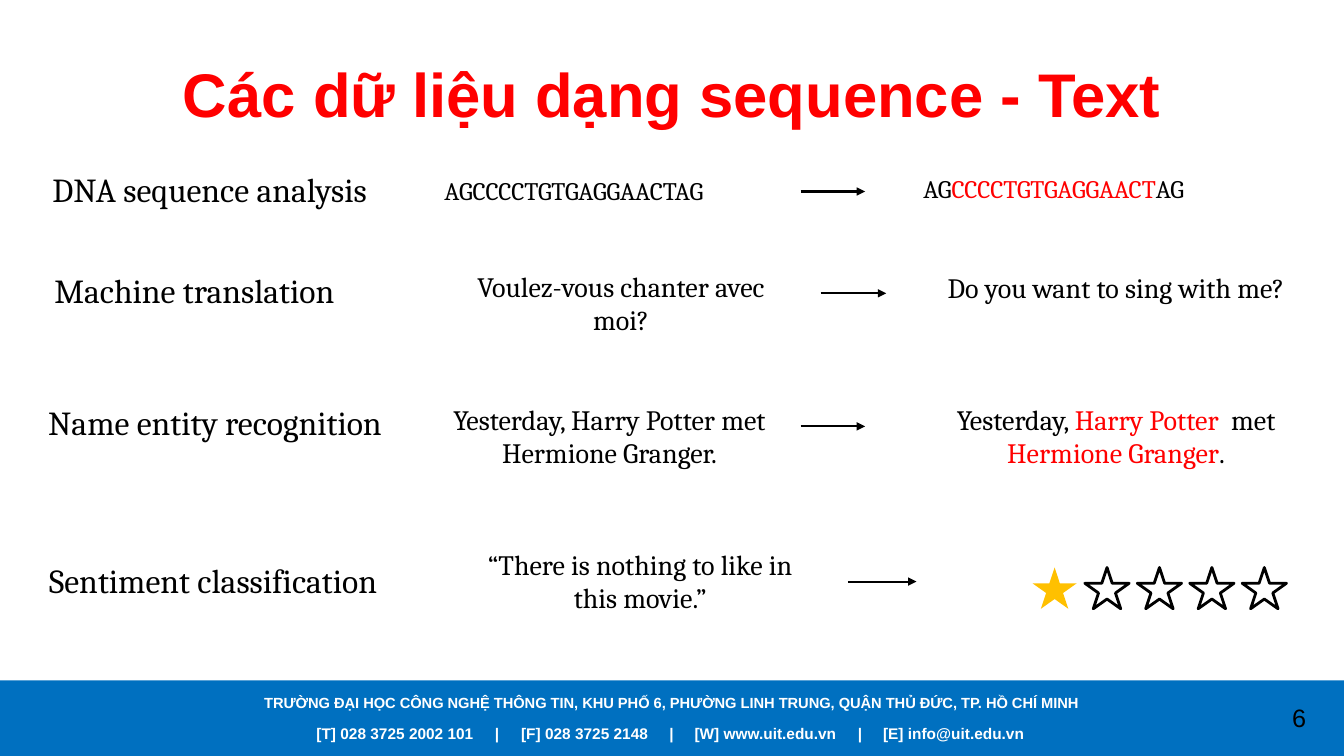
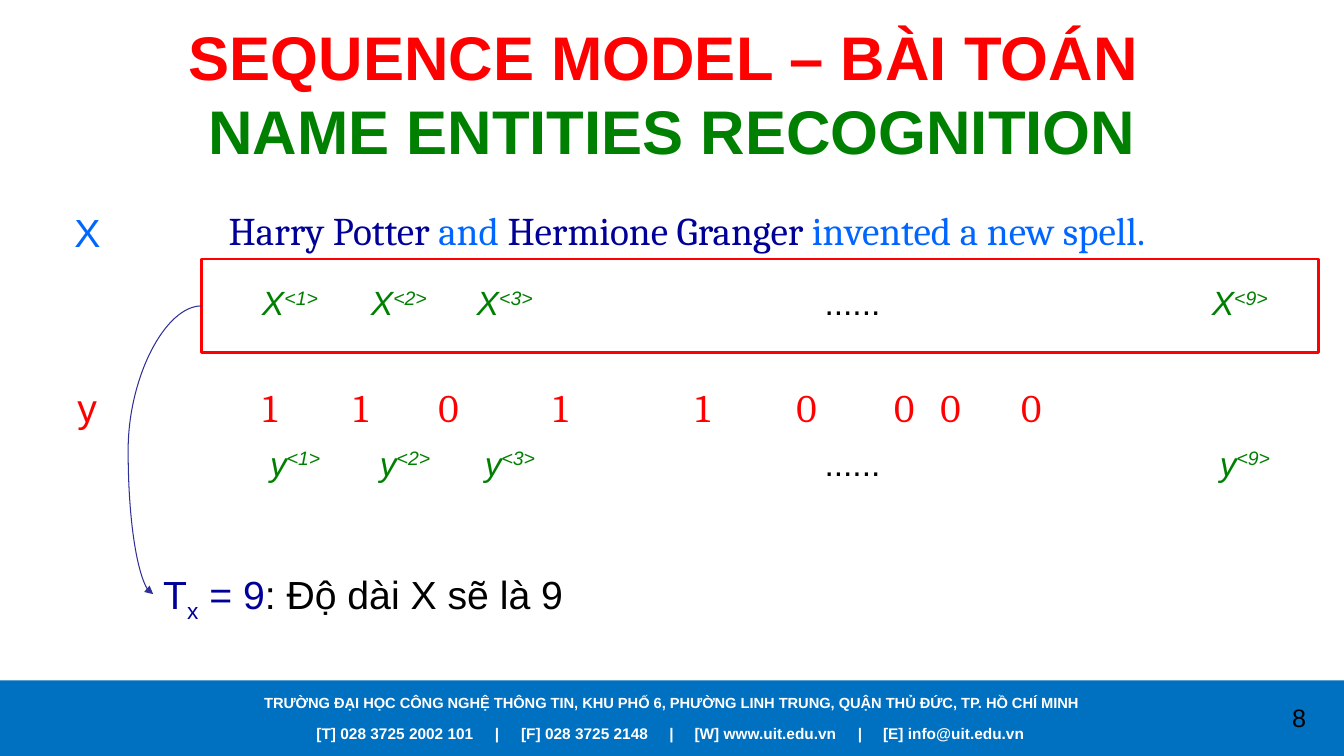
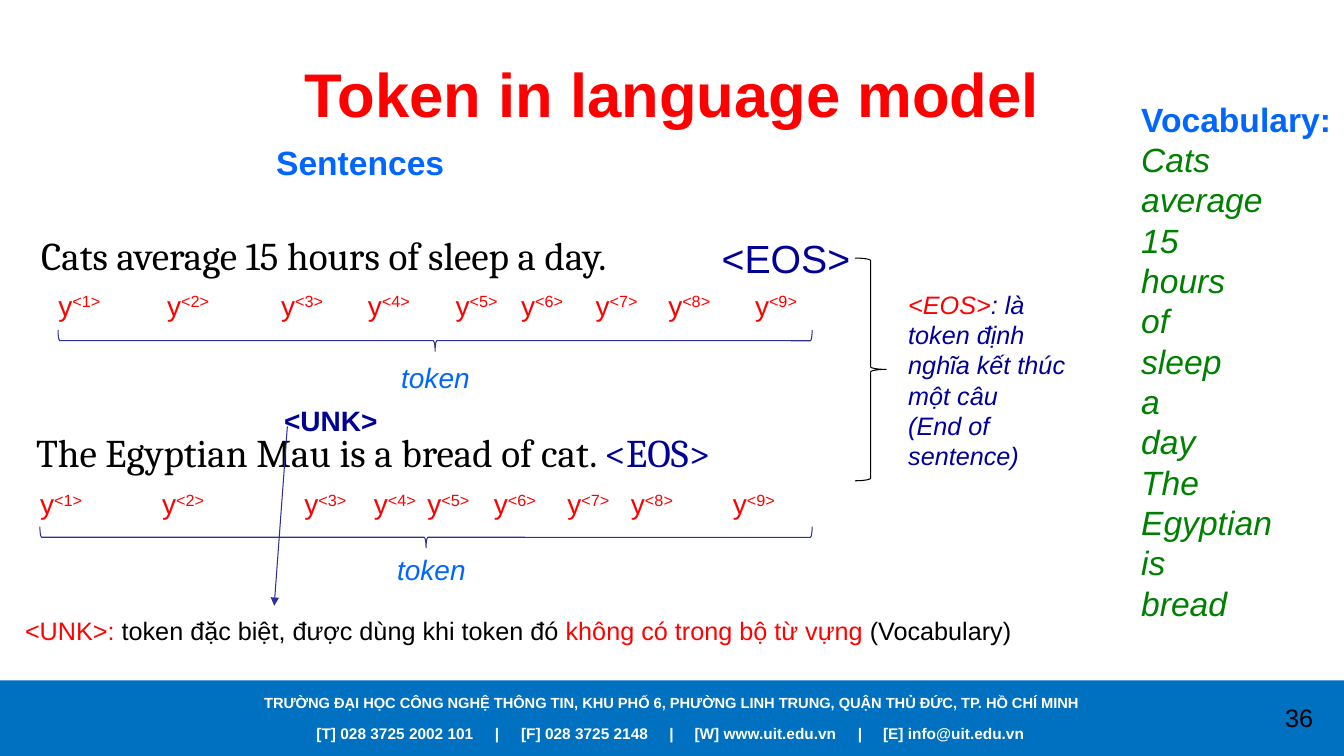
from dataclasses import dataclass

from lxml.etree import SubElement
from pptx import Presentation
from pptx.dml.color import RGBColor
from pptx.enum.shapes import MSO_CONNECTOR as CONN, MSO_SHAPE as SHAPE
from pptx.enum.text import MSO_ANCHOR, MSO_AUTO_SIZE, PP_ALIGN
from pptx.oxml.ns import qn
from pptx.util import Inches, Pt


@dataclass(frozen=True)
class Theme:
    sans: str = "Arial"
    serif: str = "Cambria"
    black: str = "000000"
    white: str = "FFFFFF"
    red: str = "FF0000"
    green: str = "008000"
    navy: str = "000099"
    azure: str = "0066FF"
    line: str = "2F2F98"
    band: str = "0070C0"
    gold: str = "FFC000"
    title: float = 44
    sentence: float = 28
    label: float = 24
    body: float = 20
    small: float = 18
    contact: float = 11
    address: float = 10.5


T = Theme()

ADDRESS = "TRƯỜNG ĐẠI HỌC CÔNG NGHỆ THÔNG TIN, KHU PHỐ 6, PHƯỜNG LINH TRUNG, QUẬN THỦ ĐỨC, TP. HỒ CHÍ MINH"
CONTACTS = ["[T] 028 3725 2002 101", "[F] 028 3725 2148", "[W] www.uit.edu.vn", "[E] info@uit.edu.vn"]
CONTACT_TABS = [1.48, 3.25, 3.51, 4.98, 5.23, 6.85, 7.1]

TASKS = [
    dict(label=("DNA sequence analysis", 0.42, 1.63, 3.62),
         source=("AGCCCCTGTGAGGAACTAG", 4.31, 1.69, 3.48, 0.4),
         arrow=(7.94, 8.58, 1.9),
         result=([("AG", T.black), ("CCCCTGTGAGGAACT", T.red), ("AG", T.black)], 9.06, 1.67, 3.48, 0.4),
         style=dict(size=T.small)),
    dict(label=("Machine translation", 0.44, 2.63, 3.23),
         source=("Voulez-vous chanter avec moi?", 4.33, 2.62, 3.66, 0.77),
         arrow=(8.14, 8.79, 2.91),
         result=([("Do you want to sing with me?", T.black)], 9.24, 2.63, 3.66, 0.77)),
    dict(label=("Name entity recognition", 0.38, 3.94, 3.75),
         source=("Yesterday, Harry Potter met Hermione Granger.", 4.25, 3.94, 3.59, 0.77),
         arrow=(7.94, 8.58, 4.23),
         result=([("Yesterday, ", T.black), ("Harry Potter  ", T.red), ("met ", T.black),
                  ("Hermione Granger", T.red), (".", T.black)], 9.3, 3.94, 3.54, 0.77)),
    dict(label=("Sentiment classification", 0.39, 5.51, 3.94),
         source=("“There is nothing to like in this movie.”", 4.59, 5.38, 3.52, 0.77),
         arrow=(8.41, 9.09, 5.77),
         stars=(1, 5)),
]

NER_SENTENCE = [("Harry Potter ", T.navy), ("and ", T.azure), ("Hermione Granger", T.navy),
                (" invented a new spell.", T.azure)]
NER_TAGS = "110110000"
NER_TABS = [0.41, 1.31, 2.18, 3.29, 4.7, 5.73, 6.7, 7.16, 7.96]
NER_ROWS = [("X", 2.75, 0.81, [2.5, 3.58, 4.63, 11.92]),
            ("y", 4.34, 0.76, [2.58, 3.67, 4.71, 12])]

VOCABULARY = ["Cats", "average", "15", "hours", "of", "sleep", "a", "day", "The", "Egyptian", "is", "bread"]
SENTENCES = [
    dict(text=[("Cats average 15 hours of sleep a day.", T.black)], at=(0.31, 2.25, 6.93),
         token_y=2.81, token_x=[0.48, 1.56, 2.69, 3.55, 4.42, 5.07, 5.81, 6.53, 7.39],
         brace=(4.21, -0.36, 0.21, 7.48), caption=(3.88, 3.53)),
    dict(text=[("The Egyptian Mau is a bread of cat. ", T.black), ("<EOS>", T.navy)], at=(0.26, 4.2, 8.12),
         token_y=4.78, token_x=[0.3, 1.51, 2.92, 3.61, 4.14, 4.8, 5.53, 6.16, 7.17],
         brace=(4.12, 1.5, 0.21, 7.66), caption=(3.84, 5.43)),
]
EOS_NOTE = [[("<EOS>", T.red), (": là token định nghĩa kết thúc một câu", T.navy)],
            [("(End of sentence)", T.navy)]]
UNK_NOTE = [("<UNK>:", T.red), (" token đặc biệt, được dùng khi token đó ", T.black),
            ("không có trong bộ từ vựng ", T.red), ("(Vocabulary)", T.black)]


def rgb(color):
    return RGBColor.from_string(color)


def write(tf, paras, size, font=T.sans, bold=False, italic=False, align=PP_ALIGN.LEFT):
    for i, runs in enumerate(paras):
        p = tf.paragraphs[0] if i == 0 else tf.add_paragraph()
        p.alignment = align
        for text, color, *baseline in runs:
            r = p.add_run()
            r.text = text
            r.font.name, r.font.size = font, Pt(size)
            r.font.bold, r.font.italic = bold, italic
            r.font.color.rgb = rgb(color)
            if baseline:
                r._r.get_or_add_rPr().set("baseline", str(baseline[0] * 1000))


def add_text(shapes, x, y, w, h, paras, size, wrap=False, **style):
    sp = shapes.add_textbox(*map(Inches, (x, y, w, h)))
    tf = sp.text_frame
    write(tf, paras, size, **style)
    tf.word_wrap = wrap
    tf.auto_size = MSO_AUTO_SIZE.SHAPE_TO_FIT_TEXT
    return sp


def set_tabs(sp, stops, kind="l"):
    tabs = SubElement(sp.text_frame.paragraphs[0]._p.get_or_add_pPr(), qn("a:tabLst"))
    for stop in stops:
        SubElement(tabs, qn("a:tab"), pos=str(Inches(stop)), algn=kind)


def add_shape(shapes, kind, x, y, w, h, fill=None, line=None, width=1.0):
    sp = shapes.add_shape(kind, *map(Inches, (x, y, w, h)))
    sp.shadow.inherit = False
    if fill:
        sp.fill.solid()
        sp.fill.fore_color.rgb = rgb(fill)
    else:
        sp.fill.background()
    if line:
        sp.line.color.rgb = rgb(line)
        sp.line.width = Pt(width)
    else:
        sp.line.fill.background()
    return sp


def add_arrow(shapes, x1, y1, x2, y2, color, width, kind=CONN.STRAIGHT):
    cx = shapes.add_connector(kind, *map(Inches, (x1, y1, x2, y2)))
    cx.line.color.rgb = rgb(color)
    cx.line.width = Pt(width)
    SubElement(cx.line._get_or_add_ln(), qn("a:tailEnd"), type="triangle")
    SubElement(cx._element.spPr, qn("a:effectLst"))
    return cx


def new_slide(prs, number, title):
    s = prs.slides.add_slide(prs.slide_layouts[5])
    add_shape(s.shapes, SHAPE.RECTANGLE, 0, 6.75, 13.33, 0.75, fill=T.band)
    add_text(s.shapes, 0, 6.83, 13.33, 0.28, [[(ADDRESS, T.white)]], T.address, wrap=True,
             bold=True, align=PP_ALIGN.CENTER)
    contacts = add_text(s.shapes, 1.56, 7.13, 10.22, 0.29, [[("\t" + "\t|\t".join(CONTACTS), T.white)]],
                        T.contact, wrap=True, bold=True)
    set_tabs(contacts, CONTACT_TABS)
    add_text(s.shapes, 12.44, 6.92, 0.89, 0.4, [[(str(number), T.black)]], T.small, wrap=True,
             align=PP_ALIGN.CENTER)
    sp = s.shapes.title
    sp.left, sp.top, sp.width, sp.height = map(Inches, (0.67, 0.3, 12, 1.25))
    tf = sp.text_frame
    tf.auto_size = MSO_AUTO_SIZE.NONE
    tf.vertical_anchor = MSO_ANCHOR.MIDDLE
    write(tf, title, T.title, bold=True, align=PP_ALIGN.CENTER)
    return s.shapes


def build_tasks(prs):
    shapes = new_slide(prs, 6, [[("Các dữ liệu dạng sequence - Text", T.red)]])
    for task in TASKS:
        group = shapes.add_group_shape().shapes
        style = task.get("style", dict(size=T.body, wrap=True, align=PP_ALIGN.CENTER))
        label, *place = task["label"]
        add_text(group, *place, 0.5, [[(label, T.black)]], T.label, font=T.serif)
        source, *place = task["source"]
        add_text(group, *place, [[(source, T.black)]], font=T.serif, **style)
        x1, x2, y = task["arrow"]
        add_arrow(group, x1, y, x2, y, T.black, 1.5)
        if "result" in task:
            result, *place = task["result"]
            add_text(group, *place, [result], font=T.serif, **style)
        else:
            rating, total = task["stars"]
            for i in range(total):
                look = dict(fill=T.gold) if i < rating else dict(line=T.black, width=2)
                add_shape(group, SHAPE.STAR_5_POINT, 10.24 + 0.52 * i, 5.63, 0.44, 0.41, **look)


def build_entities(prs):
    shapes = new_slide(prs, 8, [[("SEQUENCE MODEL – BÀI TOÁN ", T.red)],
                                [("NAME ENTITIES RECOGNITION", T.green)]])
    add_text(shapes, 2.17, 2, 10.75, 0.57, [NER_SENTENCE], T.sentence, wrap=True, font=T.serif)
    tags = add_text(shapes, 2.17, 3.75, 10.75, 0.57, [[("\t" + "\t".join(NER_TAGS), T.red)]],
                    T.sentence, wrap=True, font=T.serif)
    set_tabs(tags, NER_TABS, "ctr")
    add_text(shapes, 0.64, 2.02, 0.46, 0.57, [[("X", T.azure)]], T.sentence)
    add_text(shapes, 0.67, 3.75, 0.4, 0.57, [[("y", T.red)]], T.sentence)
    for name, y, w, lefts in NER_ROWS:
        for x, index in zip(lefts, (1, 2, 3, 9)):
            add_text(shapes, x, y, w, 0.5, [[(name, T.green), (f"<{index}>", T.green, 30)]],
                     T.label, italic=True)
        add_text(shapes, 8.08, y, 0.76, 0.5, [[("......", T.black)]], T.label)
    frame = add_shape(shapes, SHAPE.RECTANGLE, 2, 2.57, 11.08, 0.93, line=T.red, width=2)
    length = add_text(shapes, 1.52, 5.61, 4.3, 0.57,
                      [[("T", T.navy), ("x", T.navy, -25), (" = 9", T.navy),
                        (": Độ dài X sẽ là 9", T.black)]], T.sentence)
    curve = add_arrow(shapes, 2, 3.04, 1.52, 5.9, T.line, 0.75, CONN.CURVE)
    curve.begin_connect(frame, 1)
    curve.end_connect(length, 1)
    guides = curve._element.spPr.find(qn("a:prstGeom")).find(qn("a:avLst"))
    SubElement(guides, qn("a:gd"), name="adj1", fmla="val 151900")


def build_tokens(prs):
    shapes = new_slide(prs, 36, [[("Token in language model", T.red)]])
    words = [[("Vocabulary:", T.azure)]] + [[(word, T.green)] for word in VOCABULARY]
    vocabulary = add_text(shapes, 11.22, 0.93, 2.16, 5.35, words, T.label, wrap=True, italic=True)
    heading = vocabulary.text_frame.paragraphs[0].runs[0].font
    heading.bold, heading.italic = True, False
    add_text(shapes, 2.64, 1.36, 1.89, 0.5, [[("Sentences", T.azure)]], T.label, bold=True)
    for sentence in SENTENCES:
        add_text(shapes, *sentence["at"], 0.57, [sentence["text"]], T.sentence, font=T.serif)
        for i, x in enumerate(sentence["token_x"], 1):
            add_text(shapes, x, sentence["token_y"], 0.76, 0.44,
                     [[("y", T.red), (f"<{i}>", T.red, 30)]], T.body, wrap=True)
        brace = add_shape(shapes, SHAPE.RIGHT_BRACE, *sentence["brace"], line=T.line, width=0.75)
        brace.rotation = 90
        add_text(shapes, *sentence["caption"], 0.89, 0.44, [[("token", T.azure)]], T.body, italic=True)
    add_text(shapes, 7.06, 2.28, 1.49, 0.57, [[("<EOS>", T.navy)]], T.sentence)
    add_text(shapes, 2.72, 3.95, 1.14, 0.44, [[("<UNK>", T.navy)]], T.body, bold=True)
    add_text(shapes, 8.91, 2.82, 1.77, 1.92, EOS_NOTE, T.small, wrap=True, italic=True)
    add_shape(shapes, SHAPE.RIGHT_BRACE, 8.48, 2.56, 0.31, 2.21, line=T.black, width=0.75)
    add_text(shapes, 0.15, 6.06, 10.04, 0.4, [UNK_NOTE], T.small, wrap=True)
    add_arrow(shapes, 2.85, 4.23, 2.72, 6.01, T.line, 0.75)


def main():
    prs = Presentation()
    prs.slide_width, prs.slide_height = Inches(13.33), Inches(7.5)
    build_tasks(prs)
    build_entities(prs)
    build_tokens(prs)
    prs.save("out.pptx")


if __name__ == "__main__":
    main()
